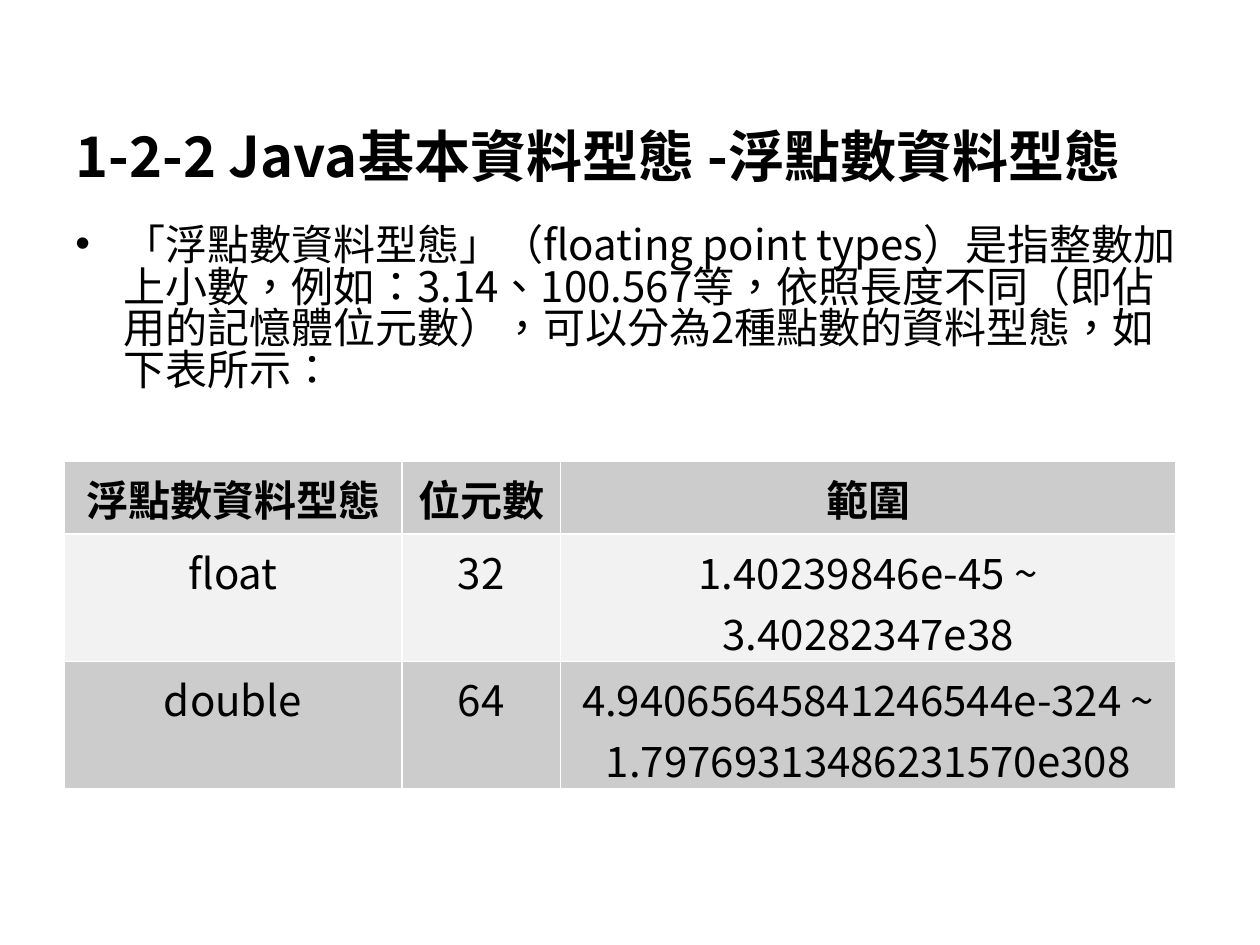
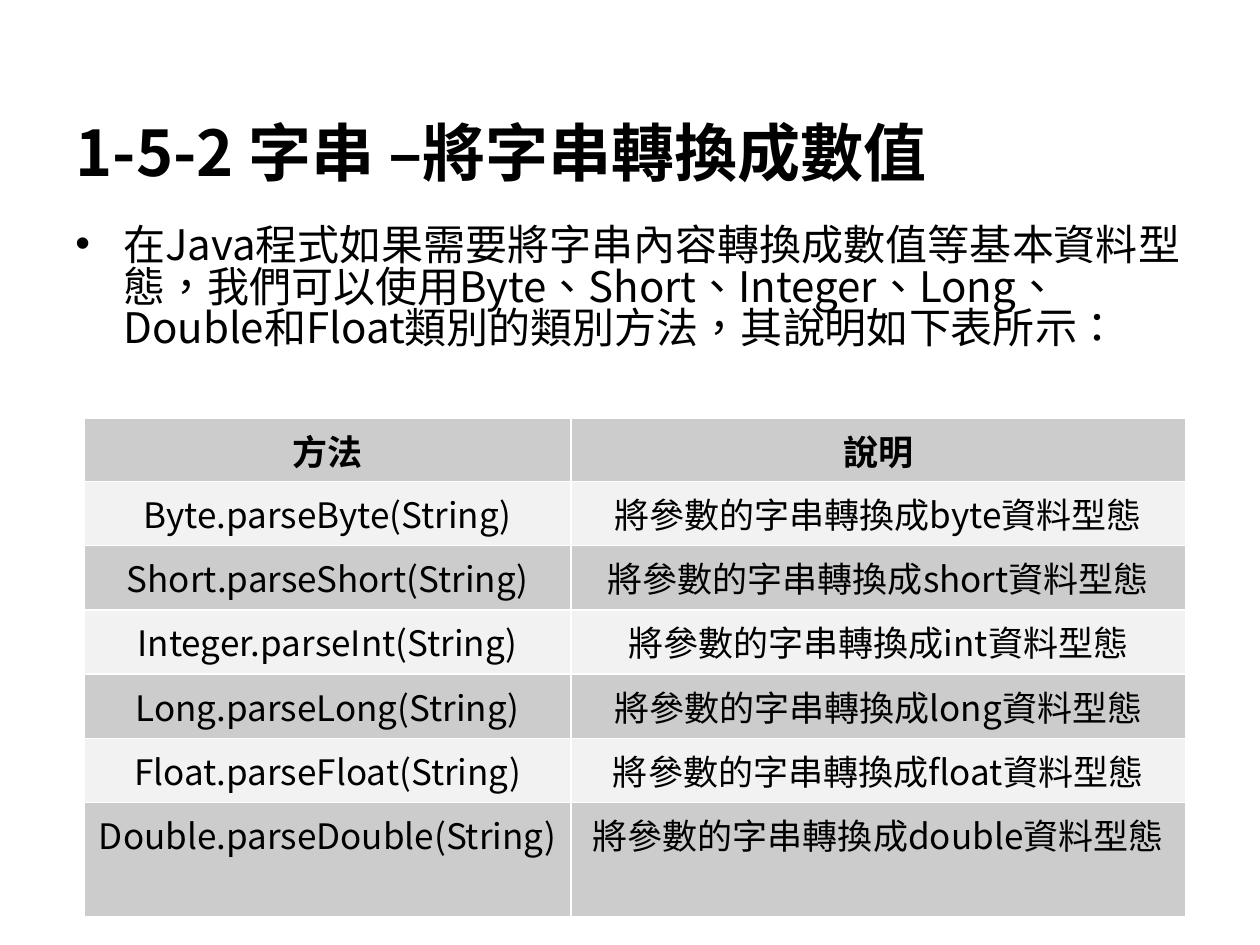
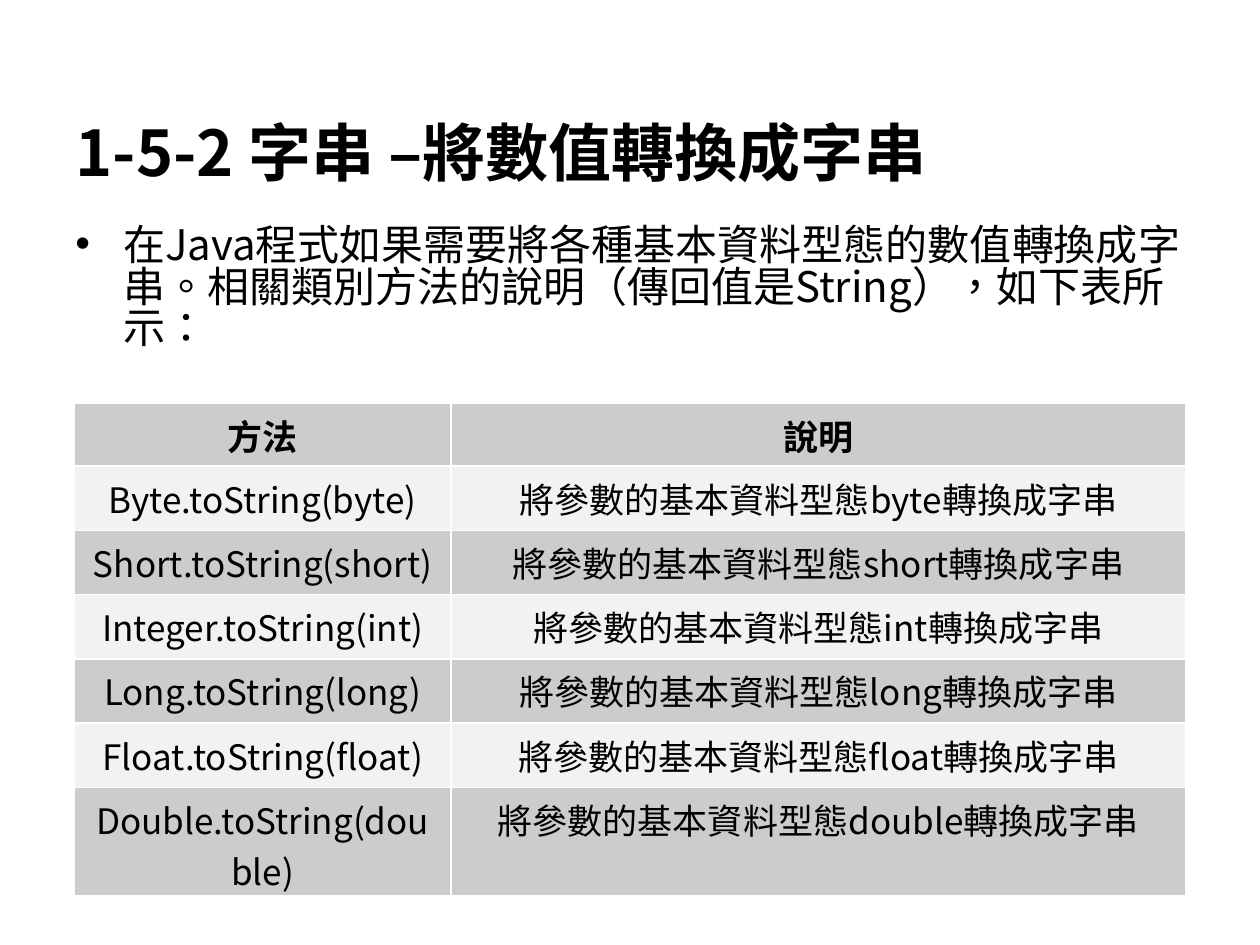
from pptx import Presentation
from pptx.dml.color import RGBColor
from pptx.enum.lang import MSO_LANGUAGE_ID
from pptx.enum.text import MSO_ANCHOR, MSO_AUTO_SIZE, PP_ALIGN
from pptx.oxml.ns import qn
from pptx.util import Inches, Pt
from lxml.etree import SubElement

BLACK = RGBColor(0x00, 0x00, 0x00)
WHITE = RGBColor(0xFF, 0xFF, 0xFF)
GREY = RGBColor(0xCC, 0xCC, 0xCC)
PALE = RGBColor(0xF2, 0xF2, 0xF2)
FONT = "Noto Sans CJK SC"
RULE = Pt(0.96)

# Wrapper class and primitive type of each conversion method
TYPES = [
    ("Byte", "byte"),
    ("Short", "short"),
    ("Integer", "int"),
    ("Long", "long"),
    ("Float", "float"),
    ("Double", "double"),
]
HEAD = ("方法", "說明")


def write(frame, text, size=24, bold=False, align=PP_ALIGN.LEFT, space=1.0, bullet=False):
    """Fill the first paragraph of a text frame."""
    frame.word_wrap = True
    para = frame.paragraphs[0]
    para.alignment = align
    para.line_spacing = space
    if bullet:
        props = para._p.get_or_add_pPr()
        props.set("marL", str(Inches(0.38)))
        props.set("indent", str(-Inches(0.38)))
        SubElement(props, qn("a:buFont")).set("typeface", "Arial")
        SubElement(props, qn("a:buChar")).set("char", "•")
    run = para.add_run()
    run.text = text
    font = run.font
    font.size = Pt(size)
    font.bold = bold
    font.color.rgb = BLACK
    font.name = FONT
    font.language_id = MSO_LANGUAGE_ID.TRADITIONAL_CHINESE
    SubElement(font._element, qn("a:ea")).set("typeface", FONT)


def place(shape, left, top, width, height):
    shape.left, shape.top = Inches(left), Inches(top)
    shape.width, shape.height = Inches(width), Inches(height)


def add_page(deck, title, body, size=36):
    """Add a slide with its title and one bullet of body text."""
    slide = deck.slides.add_slide(deck.slide_layouts[5])
    head = slide.shapes.title
    place(head, 0.5, 0.68, 9, 0.87)
    head.text_frame.auto_size = MSO_AUTO_SIZE.NONE
    head.text_frame.vertical_anchor = MSO_ANCHOR.BOTTOM
    write(head.text_frame, title, size=size, bold=True)
    box = slide.shapes.add_textbox(Inches(0.5), Inches(1.75), Inches(9), Inches(5.15))
    write(box.text_frame, body, space=0.83, bullet=True)
    return slide


def edge(cell):
    """Draw white lines on the four sides of a cell."""
    props = cell._tc.get_or_add_tcPr()
    for side in ("lnL", "lnR", "lnT", "lnB"):
        line = SubElement(props, qn(f"a:{side}"), w=str(RULE))
        fill = SubElement(line, qn("a:solidFill"))
        SubElement(fill, qn("a:srgbClr")).set("val", str(WHITE))


def add_grid(slide, left, top, widths, heights, rows, size):
    """Add a table with a bold head and rows in two greys."""
    frame = slide.shapes.add_table(
        len(rows), len(widths), Inches(left), Inches(top),
        Inches(sum(widths)), Inches(sum(heights)))
    table = frame.table
    for col, width in zip(table.columns, widths):
        col.width = Inches(width)
    for r, (row, height) in enumerate(zip(rows, heights)):
        table.rows[r].height = Inches(height)
        for c, text in enumerate(row):
            cell = table.cell(r, c)
            edge(cell)
            cell.fill.solid()
            cell.fill.fore_color.rgb = PALE if r % 2 else GREY
            write(cell.text_frame, text, size=size, bold=r == 0, align=PP_ALIGN.CENTER)


def main():
    deck = Presentation()
    deck.slide_width, deck.slide_height = Inches(10), Inches(7.5)

    slide = add_page(
        deck, "1-2-2 Java基本資料型態 -浮點數資料型態",
        "「浮點數資料型態」（floating point types）是指整數加上小數，例如：3.14、100.567等，"
        "依照長度不同（即佔用的記憶體位元數），可以分為2種點數的資料型態，如下表所示：", size=32)
    floats = [
        ("浮點數資料型態", "位元數", "範圍"),
        ("float", "32", "1.40239846e-45 ~ 3.40282347e38"),
        ("double", "64", "4.94065645841246544e-324 ~ 1.79769313486231570e308"),
    ]
    add_grid(slide, 0.51, 3.66, [2.68, 1.26, 4.88], [0.58, 1.01, 1.01], floats, 24)

    slide = add_page(
        deck, "1-5-2 字串 –將字串轉換成數值",
        "在Java程式如果需要將字串內容轉換成數值等基本資料型態，我們可以使用Byte、Short、"
        "Integer、Long、Double和Float類別的類別方法，其說明如下表所示：")
    parse = [(f"{name}.parse{kind.title()}(String)", f"將參數的字串轉換成{kind}資料型態")
             for name, kind in TYPES]
    add_grid(slide, 0.67, 3.32, [3.86, 4.88], [0.5] + [0.51] * 5 + [0.91], [HEAD] + parse, 20)

    slide = add_page(
        deck, "1-5-2 字串 –將數值轉換成字串",
        "在Java程式如果需要將各種基本資料型態的數值轉換成字串。"
        "相關類別方法的說明（傳回值是String），如下表所示：")
    show = [(f"{name}.toString({kind})", f"將參數的基本資料型態{kind}轉換成字串")
            for name, kind in TYPES]
    add_grid(slide, 0.59, 3.2, [2.99, 5.83], [0.5] + [0.51] * 5 + [0.86], [HEAD] + show, 20)

    deck.save("out.pptx")


if __name__ == "__main__":
    main()
